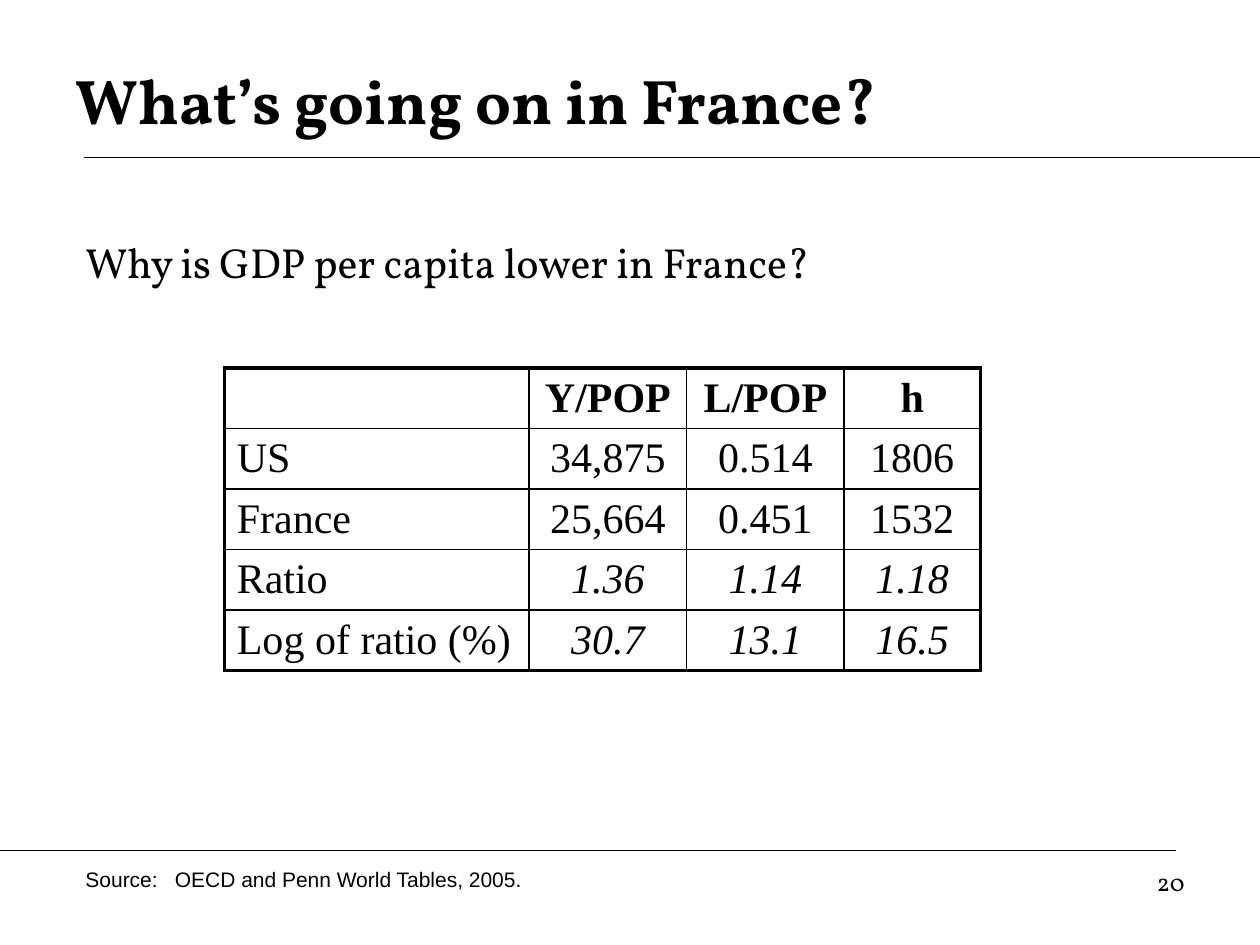
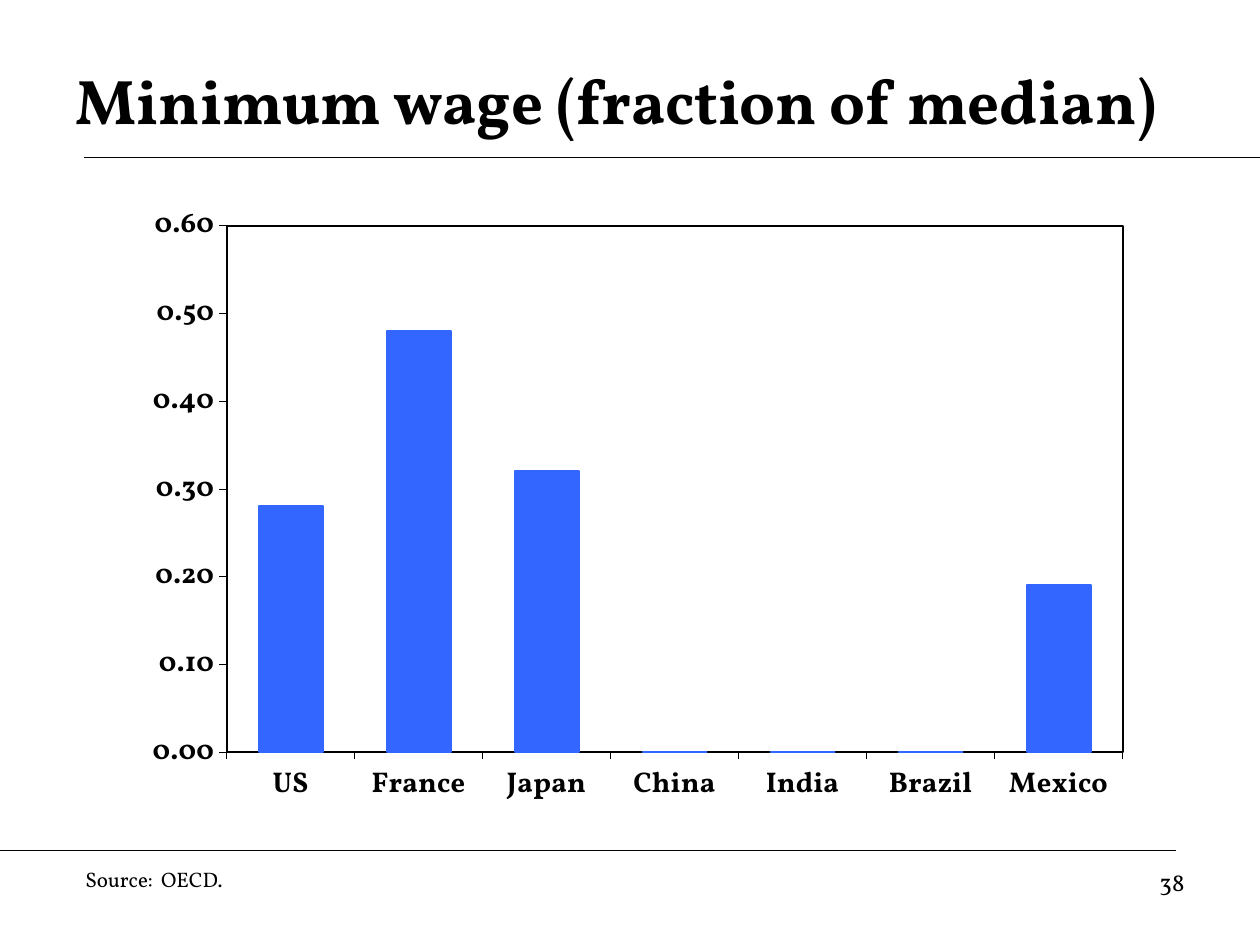
from lxml import etree
from pptx import Presentation
from pptx.chart.data import CategoryChartData
from pptx.dml.color import RGBColor
from pptx.enum.chart import XL_CHART_TYPE, XL_TICK_MARK
from pptx.enum.shapes import MSO_CONNECTOR
from pptx.enum.text import MSO_ANCHOR, PP_ALIGN
from pptx.oxml import parse_xml
from pptx.oxml.ns import nsdecls, qn
from pptx.util import Inches, Pt

BLACK = RGBColor(0x00, 0x00, 0x00)
BAR_BLUE = RGBColor(0x33, 0x66, 0xFF)
SERIF, TABLE_FONT, SANS = "Vollkorn", "Times New Roman", "Arial"
LEFT, CENTER, RIGHT = PP_ALIGN.LEFT, PP_ALIGN.CENTER, PP_ALIGN.RIGHT
MIDDLE = MSO_ANCHOR.MIDDLE
STRAIGHT = MSO_CONNECTOR.STRAIGHT
COLUMNS = XL_CHART_TYPE.COLUMN_CLUSTERED
OUTSIDE = XL_TICK_MARK.OUTSIDE

TITLE_BOX = (0.5, 0.33, 9, 0.92)
NUMBER_BOX = (7.17, 6.83, 2.33, 0.52)
TITLE_RULE_Y, FOOTER_RULE_Y = 1.25, 6.75
THIN, THICK = 1, 2.25

GDP_ROWS = [
    ("", "Y/POP", "L/POP", "h"),
    ("US", "34,875", "0.514", "1806"),
    ("France", "25,664", "0.451", "1532"),
    ("Ratio", "1.36", "1.14", "1.18"),
    ("Log of ratio (%)", "30.7", "13.1", "16.5"),
]
MINIMUM_WAGES = {"US": 0.28, "France": 0.48, "Japan": 0.32, "China": 0,
                 "India": 0, "Brazil": 0, "Mexico": 0.19}


def inches(box):
    return [Inches(length) for length in box]


def set_font(font, name, size, bold=False, italic=False):
    font.name, font.size, font.bold, font.italic = name, Pt(size), bold, italic
    font.color.rgb = BLACK


def write(text_frame, text, align=LEFT, name=SERIF, **style):
    paragraph = text_frame.paragraphs[0]
    paragraph.alignment = align
    run = paragraph.add_run()
    run.text = text
    set_font(run.font, name, **style)
    return paragraph


def add_text(slide, box, text, **style):
    text_frame = slide.shapes.add_textbox(*inches(box)).text_frame
    text_frame.word_wrap = True
    return write(text_frame, text, **style)


def add_rule(slide, start, end, y):
    rule = slide.shapes.add_connector(STRAIGHT, *inches((start, y, end, y)))
    rule.line.color.rgb = BLACK
    rule.line.width = Pt(0.75)
    etree.SubElement(rule._element.spPr, qn("a:effectLst"))
    return rule


def add_layout_rules(layout, slide):
    for start, end, y in ((0.67, 10, TITLE_RULE_Y), (0, 9.33, FOOTER_RULE_Y)):
        rule = add_rule(slide, start, end, y)
        layout.shapes._spTree.append(rule._element)


def add_frame(slide, title, number):
    shape = slide.shapes.title
    shape.left, shape.top, shape.width, shape.height = inches(TITLE_BOX)
    shape.text_frame.vertical_anchor = MIDDLE
    write(shape.text_frame, title, size=36, bold=True)
    add_text(slide, NUMBER_BOX, number, align=RIGHT, size=14)


def add_source(slide, source, width, tab, name):
    paragraph = add_text(slide, (0.58, 6.83, width, 0.3), f"Source:\t{source}",
                         name=name, size=12)
    properties = paragraph._p.get_or_add_pPr()
    tabs = etree.SubElement(properties, qn("a:tabLst"))
    etree.SubElement(tabs, qn("a:tab"), pos=str(Inches(tab)), algn="l")


def set_borders(cell, **widths):
    properties = cell._tc.get_or_add_tcPr()
    for side in "LRTB":
        properties.append(parse_xml(
            f'<a:ln{side} {nsdecls("a")} w="{Pt(widths[side])}"><a:solidFill>'
            f'<a:srgbClr val="{BLACK}"/></a:solidFill></a:ln{side}>'))


def add_gdp_table(slide, left, top):
    column_widths, row_height = (2.42, 1.25, 1.25, 1.08), 0.47
    last_row, last_column = len(GDP_ROWS) - 1, len(column_widths) - 1
    box = (left, top, sum(column_widths), row_height * len(GDP_ROWS))
    table = slide.shapes.add_table(len(GDP_ROWS), len(column_widths), *inches(box)).table
    table.first_row = table.horz_banding = False
    for column, width in zip(table.columns, column_widths):
        column.width = Inches(width)
    for row_index, values in enumerate(GDP_ROWS):
        table.rows[row_index].height = Inches(row_height)
        for column_index, value in enumerate(values):
            cell = table.cell(row_index, column_index)
            cell.vertical_anchor = MIDDLE
            cell.margin_top = cell.margin_bottom = Inches(0.04)
            set_borders(cell,
                        L=THIN if column_index else THICK,
                        R=THICK if column_index == last_column else THIN,
                        T=THIN if row_index else THICK,
                        B=THICK if row_index == last_row else THIN)
            cell.fill.background()
            if value:
                write(cell.text_frame, value, name=TABLE_FONT, size=24,
                      align=CENTER if column_index else LEFT,
                      bold=row_index == 0,
                      italic=row_index >= 3 and column_index > 0)


def set_plot_area(chart, x, y, w, h):
    plot_area = chart._chartSpace.chart.plotArea
    for layout in plot_area.findall(qn("c:layout")):
        plot_area.remove(layout)
    places = "".join(f'<c:{key} val="{value}"/>'
                     for key, value in zip("xywh", (x, y, w, h)))
    plot_area.insert(0, parse_xml(
        f'<c:layout {nsdecls("c")}><c:manualLayout><c:layoutTarget val="inner"/>'
        f'<c:xMode val="edge"/><c:yMode val="edge"/>{places}'
        '</c:manualLayout></c:layout>'))
    plot_area.append(parse_xml(
        f'<c:spPr {nsdecls("c", "a")}><a:noFill/><a:ln w="{Pt(1.17)}"><a:solidFill>'
        f'<a:srgbClr val="{BLACK}"/></a:solidFill></a:ln></c:spPr>'))


def add_wage_chart(slide, box):
    data = CategoryChartData(number_format="#,##0.00")
    data.categories = list(MINIMUM_WAGES)
    data.add_series("Series 1", list(MINIMUM_WAGES.values()))
    chart = slide.shapes.add_chart(COLUMNS, *inches(box), data).chart
    chart.has_title = chart.has_legend = False
    set_font(chart.font, TABLE_FONT, 21, bold=True)
    for axis in (chart.category_axis, chart.value_axis):
        axis.has_major_gridlines = False
        axis.major_tick_mark = OUTSIDE
        axis.format.line.color.rgb = BLACK
        axis.format.line.width = Pt(0.29)
        set_font(axis.tick_labels.font, SERIF, 16.3, bold=True)
    value_axis = chart.value_axis
    value_axis.minimum_scale, value_axis.maximum_scale = 0, 0.6
    value_axis.major_unit = 0.1
    value_axis.tick_labels.number_format = "#,##0.00"
    value_axis.tick_labels.number_format_is_linked = False
    plot = chart.plots[0]
    plot.gap_width = 100
    plot.vary_by_categories = False
    bars = plot.series[0].format
    bars.fill.solid()
    bars.fill.fore_color.rgb = BAR_BLUE
    bars.line.color.rgb = BAR_BLUE
    bars.line.width = Pt(1.17)
    set_plot_area(chart, 0.1, 0.07, 0.89, 0.79)


def build_france_slide(slide):
    add_frame(slide, "What’s going on in France?", "20")
    add_gdp_table(slide, 1.78, 2.92)
    add_source(slide, "OECD and Penn World Tables, 2005.", 4.08, 0.71, SANS)
    question = add_text(slide, (0.58, 1.83, 6.58, 0.5),
                        "Why is GDP per capita lower in France?", size=24)
    properties = question._p.get_or_add_pPr()
    properties.set("marL", str(Inches(0.5)))
    properties.set("indent", str(Inches(-0.5)))


def build_wage_slide(slide):
    add_rule(slide, 1.25, 10, TITLE_RULE_Y)
    add_rule(slide, 0, 7.08, FOOTER_RULE_Y)
    add_wage_chart(slide, (1, 1.42, 7.99, 5.29))
    add_frame(slide, "Minimum wage (fraction of median)", "38")
    add_source(slide, "OECD.", 4.83, 0.6, SERIF)


def main():
    presentation = Presentation()
    presentation.slide_width, presentation.slide_height = Inches(10), Inches(7.5)
    layout = presentation.slide_layouts.get_by_name("Title Only")
    france_slide = presentation.slides.add_slide(layout)
    add_layout_rules(layout, france_slide)
    build_france_slide(france_slide)
    build_wage_slide(presentation.slides.add_slide(layout))
    presentation.save("out.pptx")


if __name__ == "__main__":
    main()
